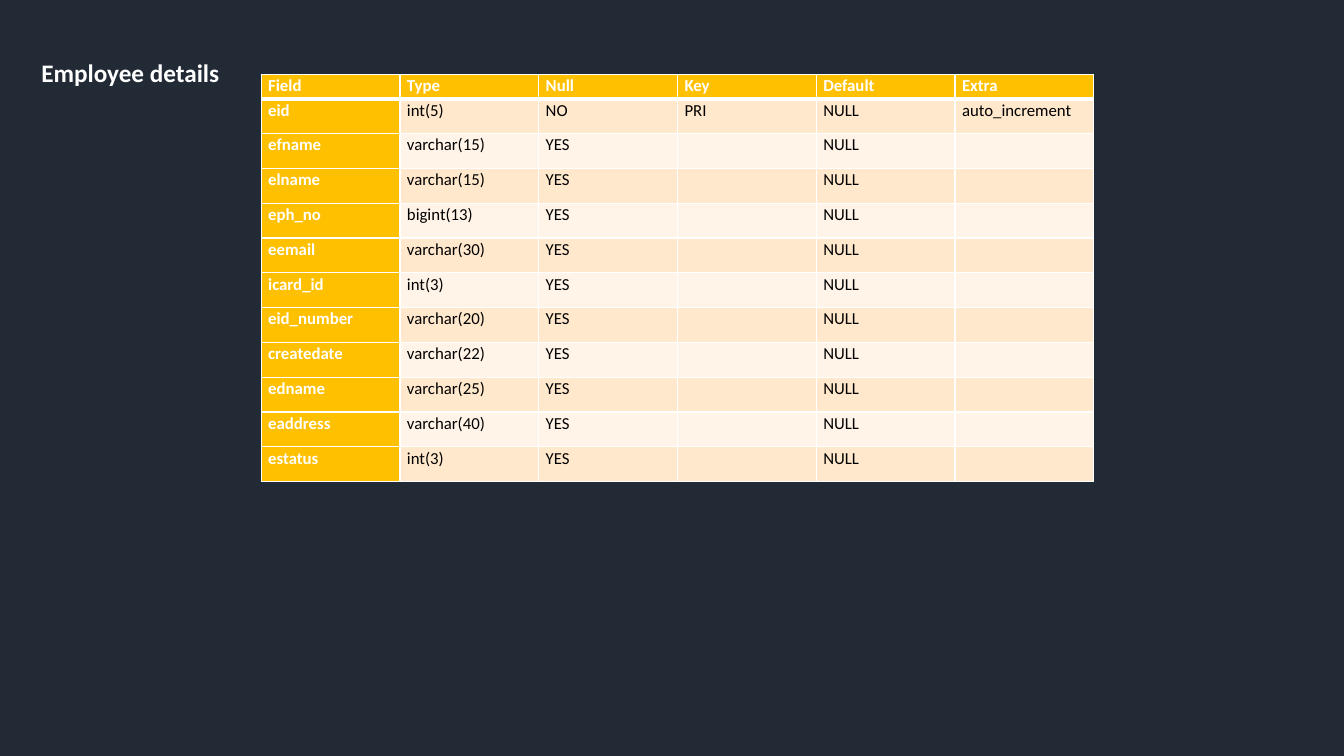
from dataclasses import dataclass

from lxml import etree
from pptx import Presentation
from pptx.dml.color import RGBColor
from pptx.enum.text import MSO_ANCHOR, MSO_AUTO_SIZE, PP_ALIGN
from pptx.oxml.ns import qn
from pptx.util import Inches, Pt

LEFT = PP_ALIGN.LEFT
TOP = MSO_ANCHOR.TOP
FIT_SHAPE = MSO_AUTO_SIZE.SHAPE_TO_FIT_TEXT
TITLE_ONLY = 5


@dataclass(frozen=True)
class Theme:
    font: str = "Calibri"
    page: str = "222A35"
    light: str = "FFFFFF"
    dark: str = "000000"
    accent: str = "FFC000"
    bands: tuple = ("FFE8CC", "FFF4E7")
    title_size: int = 18
    cell_size: int = 12
    line_spacing: float = 1.07
    thin: int = 1
    thick: int = 3


THEME = Theme()
HEADINGS = ("Field", "Type", "Null", "Key", "Default", "Extra")
FIELD_TYPES = (
    ("eid", "int(5)"),
    ("efname", "varchar(15)"),
    ("elname", "varchar(15)"),
    ("eph_no", "bigint(13)"),
    ("eemail", "varchar(30)"),
    ("icard_id", "int(3)"),
    ("eid_number", "varchar(20)"),
    ("createdate", "varchar(22)"),
    ("edname", "varchar(25)"),
    ("eaddress", "varchar(40)"),
    ("estatus", "int(3)"),
)
PRIMARY_KEY = ("NO", "PRI", "NULL", "auto_increment")
OPTIONAL = ("YES", "", "NULL", "")


def schema_rows():
    body = [
        (field, kind, *(OPTIONAL if index else PRIMARY_KEY))
        for index, (field, kind) in enumerate(FIELD_TYPES)
    ]
    return [HEADINGS, *body]


def write(para, text, size, color, bold, space_after):
    para.text = text
    para.alignment = LEFT
    para.line_spacing = THEME.line_spacing
    para.space_after = Pt(space_after)
    para.font.name = THEME.font
    para.font.size = Pt(size)
    para.font.bold = bold
    para.font.color.rgb = RGBColor.from_string(color)


def add_title(page, text, left, top, width, height):
    title = page.shapes.title
    title.left, title.top = Inches(left), Inches(top)
    title.width, title.height = Inches(width), Inches(height)
    frame = title.text_frame
    frame.word_wrap = True
    frame.auto_size = FIT_SHAPE
    frame.vertical_anchor = TOP
    write(frame.paragraphs[0], text, THEME.title_size, THEME.light, True, 8)


def add_borders(cell, top, bottom):
    properties = cell._tc.get_or_add_tcPr()
    widths = {"a:lnL": THEME.thin, "a:lnR": THEME.thin, "a:lnT": top, "a:lnB": bottom}
    for tag, width in widths.items():
        line = etree.SubElement(properties, qn(tag), w=str(Pt(width)))
        fill = etree.SubElement(line, qn("a:solidFill"))
        etree.SubElement(fill, qn("a:srgbClr"), val=THEME.light)


def format_cell(cell, text, row, column):
    is_header = row == 0
    is_accent = is_header or column == 0
    cell.margin_left = cell.margin_right = Inches(0.07)
    cell.margin_top = cell.margin_bottom = 0
    cell.vertical_anchor = TOP
    add_borders(
        cell,
        THEME.thick if row == 1 else THEME.thin,
        THEME.thick if is_header else THEME.thin,
    )
    cell.fill.solid()
    color = THEME.accent if is_accent else THEME.bands[(row - 1) % 2]
    cell.fill.fore_color.rgb = RGBColor.from_string(color)
    write(
        cell.text_frame.paragraphs[0],
        text,
        THEME.cell_size,
        THEME.light if is_accent else THEME.dark,
        is_accent,
        8 if is_header else 9,
    )


def add_schema_table(page, rows, left, top, width, height, header_height):
    frame = page.shapes.add_table(
        len(rows), len(rows[0]), Inches(left), Inches(top), Inches(width), Inches(height)
    )
    table = frame.table
    table.first_row = table.horz_banding = False
    body_height = (height - header_height) / (len(rows) - 1)
    for index, row in enumerate(table.rows):
        row.height = Inches(body_height if index else header_height)
    for row, values in enumerate(rows):
        for column, text in enumerate(values):
            format_cell(table.cell(row, column), text, row, column)


def main():
    deck = Presentation()
    deck.slide_width, deck.slide_height = Inches(13.33), Inches(7.5)
    page = deck.slides.add_slide(deck.slide_layouts[TITLE_ONLY])
    page.background.fill.solid()
    page.background.fill.fore_color.rgb = RGBColor.from_string(THEME.page)
    add_title(page, "Employee details", 0.31, 0.5, 2.87, 0.41)
    add_schema_table(page, schema_rows(), 2.59, 0.74, 8.26, 4.04, 0.24)
    deck.save("out.pptx")


if __name__ == "__main__":
    main()
